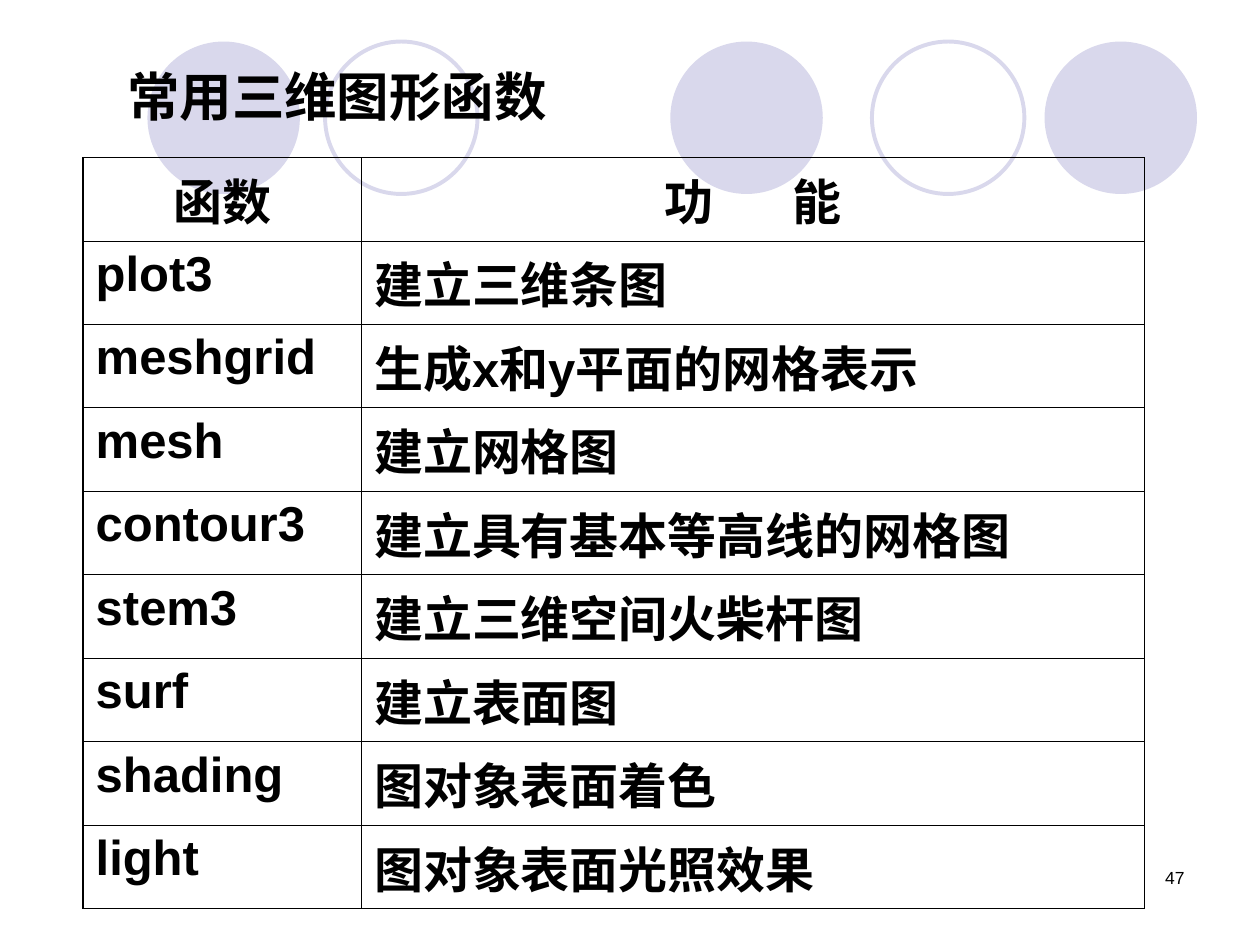
"""Build a slide listing common 3-D plotting functions in a table over a row of circles."""
from dataclasses import dataclass

from lxml.etree import SubElement
from pptx import Presentation
from pptx.dml.color import RGBColor
from pptx.enum.shapes import MSO_SHAPE as Shape
from pptx.enum.text import MSO_ANCHOR as Anchor, PP_ALIGN as Align
from pptx.oxml.ns import qn
from pptx.util import Inches, Pt

FONT = "Arial"
BLACK = "000000"
LILAC = "D9D8EC"
LEFT_LINE, THIN_LINE = 1.08, 0.45
COLUMN_WIDTHS = (2.21, 6.21)
TABLE_HEIGHT = 5.96
HEADER_GAP = 39


@dataclass
class Circle:
    left: float
    filled: bool


@dataclass
class Function:
    name: str
    purpose: str


CIRCLES = [
    Circle(1.17, True),
    Circle(2.58, False),
    Circle(5.32, True),
    Circle(6.92, False),
    Circle(8.29, True),
]

FUNCTIONS = [
    Function("plot3", "建立三维条图"),
    Function("meshgrid", "生成x和y平面的网格表示"),
    Function("mesh", "建立网格图"),
    Function("contour3", "建立具有基本等高线的网格图"),
    Function("stem3", "建立三维空间火柴杆图"),
    Function("surf", "建立表面图"),
    Function("shading", "图对象表面着色"),
    Function("light", "图对象表面光照效果"),
]


def color(code: str) -> RGBColor:
    return RGBColor.from_string(code)


def style(para, size: float, bold: bool, align: Align) -> None:
    para.alignment = align
    font = para.font
    font.name, font.size, font.bold = FONT, Pt(size), bold
    font.color.rgb = color(BLACK)


def draw_circle(page, circle: Circle) -> None:
    shape = page.shapes.add_shape(
        Shape.OVAL, Inches(circle.left), Inches(0.33), Inches(1.21), Inches(1.21))
    shape.shadow.inherit = False
    if circle.filled:
        shape.fill.solid()
        shape.fill.fore_color.rgb = color(LILAC)
        shape.line.fill.background()
    else:
        shape.fill.background()
        shape.line.color.rgb = color(LILAC)
        shape.line.width = Pt(2.25)


def draw_text(page, text: str, left: float, top: float, width: float, height: float,
              size: float, bold: bool, align: Align, anchor: Anchor) -> None:
    box = page.shapes.add_textbox(Inches(left), Inches(top), Inches(width), Inches(height))
    frame = box.text_frame
    frame.word_wrap = True
    frame.vertical_anchor = anchor
    frame.text = text
    style(frame.paragraphs[0], size, bold, align)


def draw_borders(cell, left_width: float) -> None:
    properties = cell._tc.get_or_add_tcPr()
    for side in ("L", "R", "T", "B"):
        width = left_width if side == "L" else THIN_LINE
        line = SubElement(properties, qn(f"a:ln{side}"), w=str(int(Pt(width))))
        fill = SubElement(line, qn("a:solidFill"))
        SubElement(fill, qn("a:srgbClr"), val=BLACK)
    SubElement(properties, qn("a:noFill"))


def draw_table(page, functions: list[Function]) -> None:
    rows = [("函数", "功 能")] + [(item.name, item.purpose) for item in functions]
    table = page.shapes.add_table(
        len(rows), len(COLUMN_WIDTHS), Inches(0.66), Inches(1.25),
        Inches(sum(COLUMN_WIDTHS)), Inches(TABLE_HEIGHT)).table
    table.first_row = table.horz_banding = False
    for column, width in zip(table.columns, COLUMN_WIDTHS):
        column.width = Inches(width)
    for r, texts in enumerate(rows):
        table.rows[r].height = Inches(TABLE_HEIGHT / len(rows))
        for c, text in enumerate(texts):
            cell = table.cell(r, c)
            para = cell.text_frame.paragraphs[0]
            for part in filter(None, text.partition(" ")):
                span = para.add_run()
                span.text = part
                if part == " ":
                    span.font._element.set("spc", str(HEADER_GAP * 100))
            style(para, 28, True, Align.LEFT if r else Align.CENTER)
            para.space_before = Pt(7)
            draw_borders(cell, THIN_LINE if c else LEFT_LINE)


def main() -> None:
    deck = Presentation()
    deck.slide_width, deck.slide_height = Inches(10), Inches(7.5)
    page = deck.slides.add_slide(deck.slide_layouts[6])
    for circle in CIRCLES:
        draw_circle(page, circle)
    draw_text(page, "常用三维图形函数", 0.91, 0.42, 8.19, 0.67,
              30, True, Align.LEFT, Anchor.MIDDLE)
    draw_table(page, FUNCTIONS)
    draw_text(page, "47", 7.17, 6.83, 2.33, 0.5, 10, False, Align.RIGHT, Anchor.TOP)
    deck.save("out.pptx")


if __name__ == "__main__":
    main()
